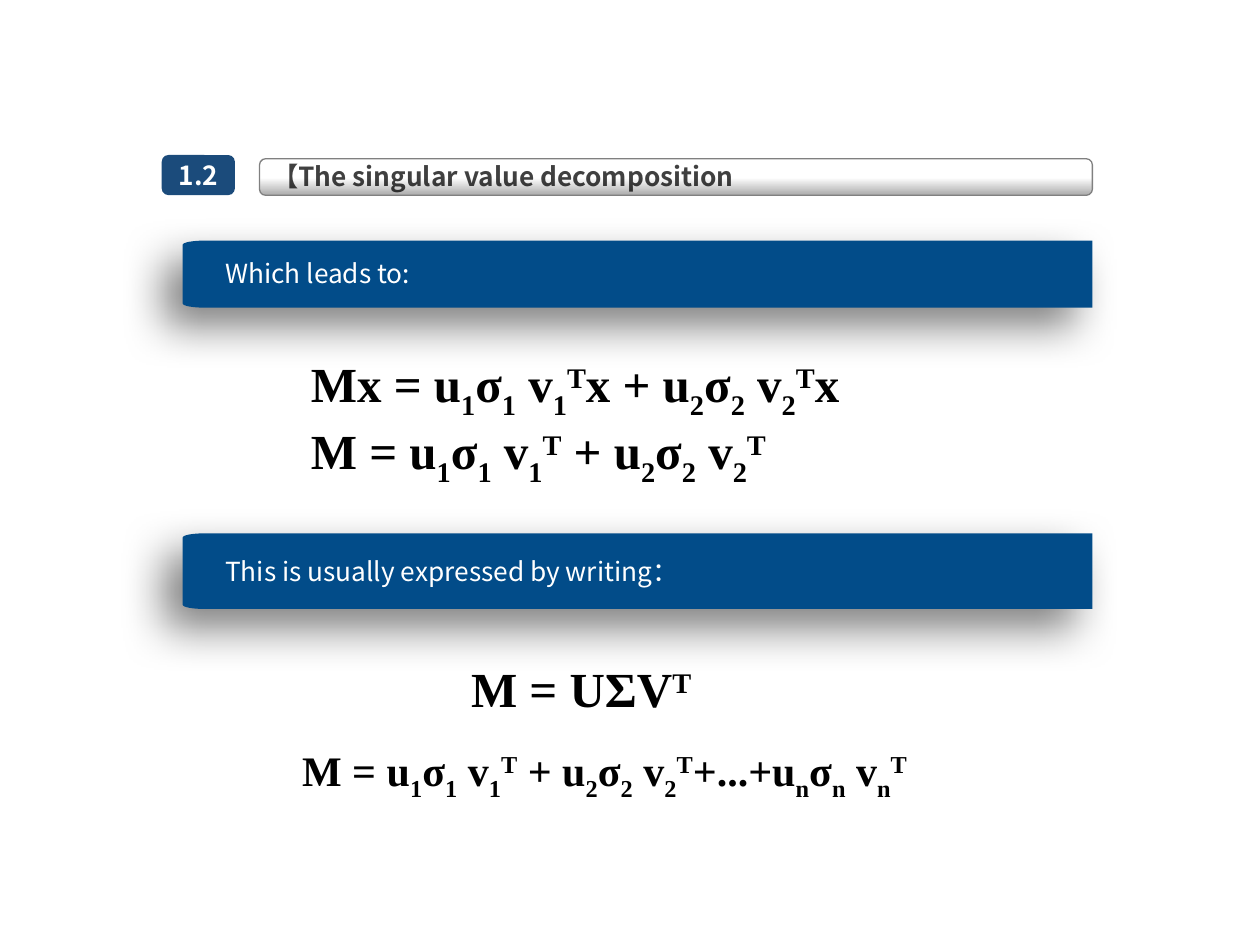
import math

import lxml.etree
import pptx
import pptx.dml.color
import pptx.enum.shapes
import pptx.enum.text
import pptx.oxml.ns
import pptx.util

Pt = pptx.util.Pt
qn = pptx.oxml.ns.qn
ALIGN = pptx.enum.text.PP_ALIGN
ANCHOR = pptx.enum.text.MSO_ANCHOR
ROUNDED = pptx.enum.shapes.MSO_SHAPE.ROUNDED_RECTANGLE
BASELINES = {"_": -25000, "^": 30000}

LABEL = {"name": "Noto Sans CJK SC", "size": Pt(15), "bold": False}
HEADING = {**LABEL, "bold": True}
FORMULA = {"name": "Times New Roman", "size": Pt(28), "bold": True}
SMALL_FORMULA = {**FORMULA, "size": Pt(24)}


def rgb(value):
    return pptx.dml.color.RGBColor.from_string(value)


def points(*lengths):
    return [Pt(length) for length in lengths]


def add_xml(parent, tag, **attributes):
    return lxml.etree.SubElement(parent, qn(tag), attributes)


def split_scripts(text):
    """Yield (text, baseline); _ and ^ lower or raise the next character."""
    for piece in text.replace("_", "|_").replace("^", "|^").split("|"):
        if piece[:1] in BASELINES:
            yield piece[1], BASELINES[piece[0]]
            piece = piece[2:]
        if piece:
            yield piece, 0


def term(index):
    return f"u_{index}σ_{index} v_{index}^T"


class FormulaSlide:
    blue, navy, white, black = "024C89", "1B4B7B", "FFFFFF", "000000"

    def __init__(self, prs):
        self.s = prs.slides.add_slide(prs.slide_layouts[5])

    def set_text(self, sp, lines, font, color, align=ALIGN.LEFT, **frame):
        tf = sp.text_frame
        settings = {"word_wrap": True, "vertical_anchor": ANCHOR.TOP,
                    "auto_size": pptx.enum.text.MSO_AUTO_SIZE.NONE, **frame}
        for name, value in settings.items():
            setattr(tf, name, value)
        for i, line in enumerate(lines):
            p = tf.add_paragraph() if i else tf.paragraphs[0]
            p.alignment = align
            for text, baseline in split_scripts(line):
                r = p.add_run()
                r.text = text
                for name, value in font.items():
                    setattr(r.font, name, value)
                r.font.color.rgb = rgb(color)
                rpr = r._r.get_or_add_rPr()
                add_xml(rpr, "a:ea", typeface=font["name"])
                if baseline:
                    rpr.set("baseline", str(baseline))

    def title(self, text, left, top, width, height):
        sp = self.s.shapes.title
        sp.left, sp.top, sp.width, sp.height = points(left, top, width, height)
        self.set_text(sp, [text], HEADING, self.black)
        for color in sp.element.iter(qn("a:srgbClr")):
            add_xml(color, "a:alpha", val="75000")

    def rounded(self, left, top, width, height):
        sp = self.s.shapes.add_shape(ROUNDED, *points(left, top, width, height))
        sp.shadow.inherit = False
        return sp

    def title_bar(self, *box):
        sp = self.rounded(*box)
        sp.fill.gradient()
        sp.fill.gradient_angle = 90
        stops = zip(sp.fill.gradient_stops, [("ABABAB", 0), (self.white, 0.48)])
        for stop, (color, position) in stops:
            stop.color.rgb = rgb(color)
            stop.position = position
        sp.line.color.rgb = rgb("808080")
        sp.line.width = Pt(0.75)
        self.s.shapes.title.element.addprevious(sp.element)

    def badge(self, text, *box):
        sp = self.rounded(*box)
        sp.fill.solid()
        sp.fill.fore_color.rgb = rgb(self.navy)
        sp.line.fill.background()
        self.set_text(sp, [text], HEADING, self.white, ALIGN.CENTER,
                      word_wrap=False, vertical_anchor=ANCHOR.MIDDLE,
                      margin_left=Pt(5), margin_right=Pt(5),
                      margin_top=Pt(3), margin_bottom=Pt(3))

    def banner(self, text, top, height, text_top):
        """Add a shadowed band with flat elliptical corners on its left."""
        left, right, bottom = 104.4, 624.2, top + height
        rx, ry, steps = 12.2, 2.4, 8
        angles = [math.pi / 2 * i / steps for i in range(steps + 1)]
        curve = [(left + rx * (1 - math.sin(a)), ry * (1 - math.cos(a)))
                 for a in angles]
        outline = [(right, top), (right, bottom)]
        outline += [(x, bottom - y) for x, y in curve]
        outline += [(x, top + y) for x, y in reversed(curve)]
        shapes = self.s.shapes.add_group_shape().shapes
        builder = shapes.build_freeform(*points(*outline[0]))
        builder.add_line_segments([points(*xy) for xy in outline[1:]])
        sp = builder.convert_to_shape()
        sp.fill.solid()
        sp.fill.fore_color.rgb = rgb(self.blue)
        sp.line.fill.background()
        sp.shadow.inherit = False
        effects = sp.element.spPr.find(qn("a:effectLst"))
        shadow = add_xml(effects, "a:outerShdw", blurRad=str(Pt(25)),
                         dist=str(Pt(15)), dir=str(135 * 60000),
                         algn="tr", rotWithShape="0")
        color = add_xml(shadow, "a:srgbClr", val=self.black)
        add_xml(color, "a:alpha", val="50000")
        label = shapes.add_textbox(*points(121.7, text_top, 485.3, 25.2))
        self.set_text(label, [text], LABEL, self.white, ALIGN.JUSTIFY)

    def formula(self, lines, left, top, width, height, font=FORMULA):
        sp = self.s.shapes.add_textbox(*points(left, top, width, height))
        self.set_text(sp, lines, font, self.black)


def main():
    prs = pptx.Presentation()
    prs.slide_width, prs.slide_height = points(720, 540)
    slide = FormulaSlide(prs)
    slide.title("【The singular value decomposition", 148.3, 87.8, 493.9, 25.2)
    slide.title_bar(148.3, 90.7, 475.9, 20.9)
    slide.badge("1.2", 92.4, 88.6, 41.8, 22.9)

    slide.banner("Which leads to:", 137.5, 38.3, 143.3)
    slide.formula([f"Mx = {term(1)}x + {term(2)}x", f"M = {term(1)} + {term(2)}"],
                  170.6, 198.7, 378, 74.9)

    slide.banner("This is usually expressed by writing：", 304.8, 43.2, 313.9)
    slide.formula(["M = UΣV^T"], 262.1, 373, 157.7, 41)
    slide.formula([f"M = {term(1)} + {term(2)}+...+{term('n')}"],
                  165.6, 421.9, 383.8, 36, SMALL_FORMULA)
    prs.save("out.pptx")


if __name__ == "__main__":
    main()
